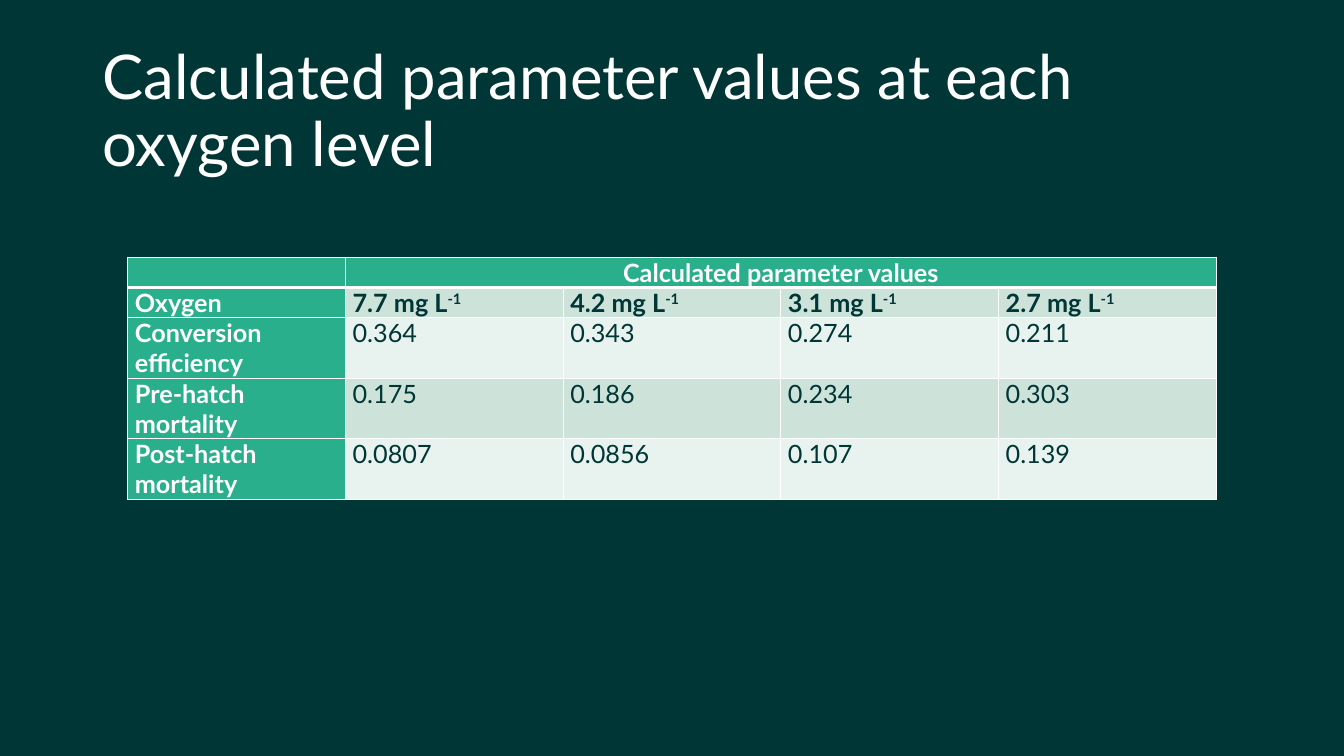
from lxml.etree import SubElement
from pptx import Presentation
from pptx.dml.color import RGBColor
from pptx.enum.text import MSO_ANCHOR, PP_ALIGN
from pptx.oxml.ns import qn
from pptx.util import Cm, Pt

DARK = RGBColor(0x00, 0x36, 0x35)
GREEN = RGBColor(0x29, 0xAF, 0x8C)
BAND_DARK = RGBColor(0xCD, 0xE3, 0xDA)
BAND_LIGHT = RGBColor(0xE8, 0xF2, 0xEE)
WHITE = RGBColor(0xFF, 0xFF, 0xFF)

FONT = "Lato"
LINE_HEIGHT = 0.76
HEADING = "Calculated parameter values"
LEVELS = ["7.7", "4.2", "3.1", "2.7"]
PARAMETERS = {
    "Conversion efficiency": ["0.364", "0.343", "0.274", "0.211"],
    "Pre-hatch mortality": ["0.175", "0.186", "0.234", "0.303"],
    "Post-hatch mortality": ["0.0807", "0.0856", "0.107", "0.139"],
}


def add_run(p, text, size, color, bold=False, superscript=False):
    r = p.add_run()
    r.text = text
    for name, value in {"name": FONT, "size": Pt(size), "bold": bold}.items():
        setattr(r.font, name, value)
    r.font.color.rgb = color
    if superscript:
        r.font._element.set("baseline", "30000")


def add_title(slide, left, top, width, height):
    tf = slide.shapes.add_textbox(Cm(left), Cm(top), Cm(width), Cm(height)).text_frame
    tf.word_wrap = True
    tf.vertical_anchor = MSO_ANCHOR.MIDDLE
    p = tf.paragraphs[0]
    p.line_spacing = 0.9
    add_run(p, "Calculated parameter values at each oxygen level", 44, WHITE)


def set_borders(cell, widths):
    """Draw white borders; widths maps each side (L, R, T, B) to points."""
    tc_pr = cell._tc.get_or_add_tcPr()
    for side, width in widths.items():
        ln = SubElement(tc_pr, qn(f"a:ln{side}"), w=str(Pt(width)))
        fill = SubElement(ln, qn("a:solidFill"))
        SubElement(fill, qn("a:srgbClr"), val=str(WHITE))


def format_cell(cell, row, col):
    set_borders(cell, {"L": 1, "R": 1, "T": 3 if row == 1 else 1, "B": 3 if row == 0 else 1})
    margins = {"margin_left": 0.18, "margin_right": 0.18, "margin_top": 0, "margin_bottom": 0}
    for name, value in margins.items():
        setattr(cell, name, Cm(value))
    cell.fill.solid()
    band = BAND_DARK if row % 2 else BAND_LIGHT
    cell.fill.fore_color.rgb = GREEN if row == 0 or col == 0 else band


def add_parameter_table(slide, left, top, width):
    line_counts = [1, 1] + [2] * len(PARAMETERS)
    n_rows, n_cols = len(line_counts), len(LEVELS) + 1
    table = slide.shapes.add_table(n_rows, n_cols, Cm(left), Cm(top), Cm(width),
                                   Cm(LINE_HEIGHT * sum(line_counts))).table
    table.first_col = True
    for column in table.columns:
        column.width = Cm(width / n_cols)
    for row, lines in enumerate(line_counts):
        table.rows[row].height = Cm(LINE_HEIGHT * lines)
        for col in range(n_cols):
            format_cell(table.cell(row, col), row, col)

    table.cell(0, 1).merge(table.cell(0, n_cols - 1))
    p = table.cell(0, 1).text_frame.paragraphs[0]
    p.alignment = PP_ALIGN.CENTER
    add_run(p, HEADING, 18, WHITE, bold=True)

    for row, label in enumerate(["Oxygen", *PARAMETERS], 1):
        add_run(table.cell(row, 0).text_frame.paragraphs[0], label, 18, WHITE, bold=True)
    for col, level in enumerate(LEVELS, 1):
        p = table.cell(1, col).text_frame.paragraphs[0]
        add_run(p, f"{level} mg L", 18, DARK, bold=True)
        add_run(p, "-1", 18, DARK, bold=True, superscript=True)
    for row, values in enumerate(PARAMETERS.values(), 2):
        for col, value in enumerate(values, 1):
            add_run(table.cell(row, col).text_frame.paragraphs[0], value, 18, DARK)


def main():
    prs = Presentation()
    prs.slide_width, prs.slide_height = Cm(33.87), Cm(19.05)
    slide = prs.slides.add_slide(prs.slide_layouts[6])
    slide.background.fill.solid()
    slide.background.fill.fore_color.rgb = DARK
    add_title(slide, 2.33, 1.01, 29.21, 3.68)
    add_parameter_table(slide, 3.22, 6.48, 27.43)
    prs.save("out.pptx")


if __name__ == "__main__":
    main()
